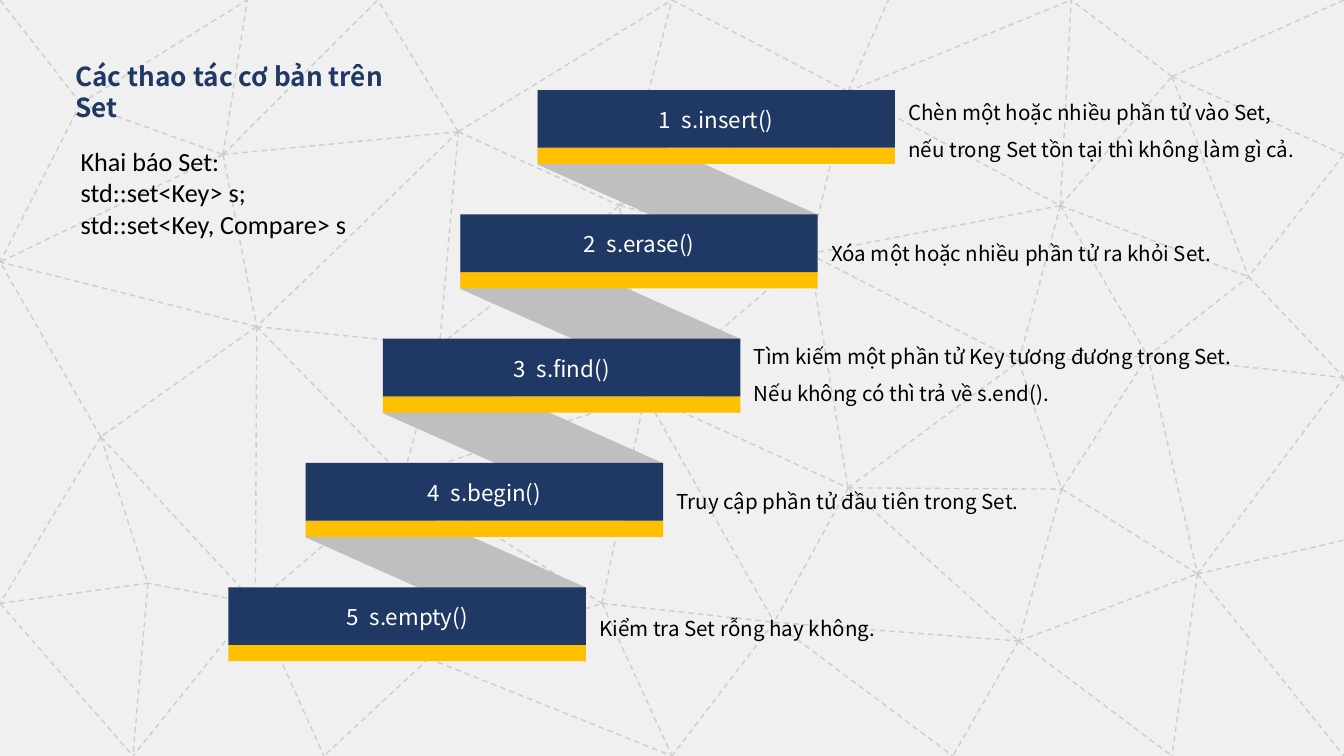
from dataclasses import dataclass

from lxml import etree
from pptx import Presentation
from pptx.dml.color import RGBColor
from pptx.enum.dml import MSO_LINE
from pptx.enum.shapes import MSO_CONNECTOR, MSO_SHAPE
from pptx.enum.text import MSO_ANCHOR, MSO_AUTO_SIZE, PP_ALIGN
from pptx.oxml.ns import qn
from pptx.util import Inches, Pt

RECTANGLE, PARALLELOGRAM = MSO_SHAPE.RECTANGLE, MSO_SHAPE.PARALLELOGRAM
STRAIGHT, DASH = MSO_CONNECTOR.STRAIGHT, MSO_LINE.DASH
TOP, FIXED = MSO_ANCHOR.TOP, MSO_AUTO_SIZE.NONE
LEFT, CENTER = PP_ALIGN.LEFT, PP_ALIGN.CENTER


@dataclass(frozen=True)
class Theme:
    paper: str = "F0F0F0"
    mesh: str = "CDCDCD"
    ribbon: str = "BFBFBF"
    navy: str = "203864"
    gold: str = "FFC000"
    white: str = "FFFFFF"
    black: str = "000000"
    sans: str = "Noto Sans CJK SC"
    code: str = "Calibri"
    heading_size: int = 14
    label_size: int = 12
    note_size: int = 11


THEME = Theme()
TITLE = dict(name=THEME.sans, size=THEME.heading_size, color=THEME.navy, bold=True)
DECLARATION = dict(name=THEME.code, size=THEME.heading_size, color=THEME.black)
LABEL = dict(name=THEME.sans, size=THEME.label_size, color=THEME.white)
NOTE = dict(name=THEME.sans, size=THEME.note_size, color=THEME.black)

PAGE_WIDTH = 10
PAGE_HEIGHT = PAGE_WIDTH * 9 / 16

MESH_NODES = {
    "A": (0.6, 0.77), "B": (1.66, 1.15), "C": (1.84, 0), "D": (0, 1.95),
    "E": (2.81, 0), "F": (3.41, 0.98), "G": (1.91, 2.43), "H": (3.27, 2.57),
    "I": (3, 3.55), "J": (1.9, 4.49), "K": (0.75, 3.25), "L": (0, 4.49),
    "M": (1.1, 4.34), "N": (0.99, PAGE_HEIGHT), "O": (3.19, 4.9), "P": (2.41, PAGE_HEIGHT),
    "Q": (4.48, 4.49), "R": (5, PAGE_HEIGHT), "S": (4.8, 2.94), "T": (4.61, 1.53),
    "U": (5, 0), "V": (6.31, 0.68), "W": (6.02, 1.89), "X": (6.31, 3.63),
    "Y": (5.76, 4.63), "Z": (6.61, 0), "a": (7.89, 1.53), "b": (7.58, 2.69),
    "c": (7.9, 3.64), "d": (7.58, 4.77), "e": (7.09, PAGE_HEIGHT), "f": (8.72, PAGE_HEIGHT),
    "g": (8.54, 2.65), "h": (8.72, 0.57), "i": (7.97, 0), "j": (10, 0),
    "k": (10, 1.15), "l": (9.29, 2.06), "m": (10, 2.81), "n": (8.91, 4.27),
    "o": (10, PAGE_HEIGHT), "p": (10, 4.02), "q": (0, 0),
}
# Each node with the neighbours it is joined to; every edge is listed once.
MESH_EDGES = {
    "A": "BCDq", "B": "CDEFG", "F": "EGHTU", "G": "DHIJK", "H": "IST",
    "I": "JOQS", "J": "KMNOP", "K": "DLM", "L": "MN", "M": "N", "O": "PQR",
    "Q": "RSY", "S": "TWXY", "T": "UVW", "U": "V", "V": "WZai", "W": "Xab",
    "X": "Ybcd", "Y": "Rde", "a": "bghil", "b": "cg", "c": "dgn", "d": "efn",
    "g": "lmn", "h": "ijkl", "k": "l", "l": "m", "n": "fmop",
}

# Operation, note, top, width and height of the note
OPERATIONS = [
    ("s.insert()", "Chèn một hoặc nhiều phần tử vào Set, nếu trong Set tồn tại thì không làm gì cả.", 0.6, 3.11, 0.66),
    ("s.erase()", "Xóa một hoặc nhiều phần tử ra khỏi Set.", 1.65, 3.67, 0.38),
    ("s.find()", "Tìm kiếm một phần tử Key tương đương trong Set. Nếu không có thì trả về s.end().", 2.42, 3.82, 0.66),
    ("s.begin()", "Truy cập phần tử đầu tiên trong Set.", 3.5, 3.96, 0.38),
    ("s.empty()", "Kiểm tra Set rỗng hay không.", 4.44, 3.85, 0.38),
]
FIRST_LEFT, FIRST_TOP = 4, 0.67
LAST_LEFT, LAST_TOP = 1.7, 4.37
STEP_WIDTH, STEP_HEIGHT, BASE_HEIGHT = 2.66, 0.43, 0.12


def step_corner(index):
    share = index / (len(OPERATIONS) - 1)
    return (FIRST_LEFT + share * (LAST_LEFT - FIRST_LEFT),
            FIRST_TOP + share * (LAST_TOP - FIRST_TOP))


class Painter:
    def __init__(self, page, theme):
        self.page = page
        self.theme = theme

    def background(self):
        fill = self.page.background.fill
        fill.solid()
        fill.fore_color.rgb = RGBColor.from_string(self.theme.paper)

    def group(self):
        return self.page.shapes.add_group_shape().shapes

    def mesh_line(self, shapes, start, end):
        line = shapes.add_connector(STRAIGHT, *map(Inches, start + end))
        line.line.color.rgb = RGBColor.from_string(self.theme.mesh)
        line.line.width = Pt(0.75)
        line.line.dash_style = DASH
        etree.SubElement(line._element.spPr, qn("a:effectLst"))

    def block(self, shapes, kind, place, color):
        shape = shapes.add_shape(kind, *map(Inches, place))
        shape.shadow.inherit = False
        shape.fill.solid()
        shape.fill.fore_color.rgb = RGBColor.from_string(color)
        shape.line.fill.background()
        return shape

    def ribbon(self, left, top):
        shape = self.block(self.page.shapes, PARALLELOGRAM, (left, top, 1.48, 2.08), self.theme.ribbon)
        shape.adjustments[0] = 0.625
        shape.rotation = 90

    def span(self, para, text, style):
        span = para.add_run()
        span.text = text
        for key, value in style.items():
            if key == "color":
                span.font.color.rgb = RGBColor.from_string(value)
            else:
                setattr(span.font, key, Pt(value) if key == "size" else value)
        return span

    def text(self, shapes, place, spans, style, **layout):
        """Add a one-paragraph box; layout holds paragraph attributes."""
        box = shapes.add_textbox(*map(Inches, place))
        box.text_frame.word_wrap = True
        para = box.text_frame.paragraphs[0]
        for key, value in layout.items():
            setattr(para, key, value)
        return [self.span(para, text, style) for text in spans]

    def placeholder(self, box, place, lines, style):
        """Place a template placeholder in front and fill it with plain lines."""
        for key, value in zip(("left", "top", "width", "height"), place):
            setattr(box, key, Inches(value))
        self.page.shapes._spTree.append(box._element)
        frame = box.text_frame
        for key, value in dict(word_wrap=True, auto_size=FIXED, vertical_anchor=TOP).items():
            setattr(frame, key, value)
        for index, line in enumerate(lines):
            para = frame.add_paragraph() if index else frame.paragraphs[0]
            properties = para._p.get_or_add_pPr()
            properties.set("marL", "0")
            properties.set("indent", "0")
            etree.SubElement(properties, qn("a:buNone"))
            para.alignment = LEFT
            para.space_before = Pt(0)
            self.span(para, line, style)

    def step(self, number, name, left, top):
        shapes = self.group()
        self.block(shapes, RECTANGLE, (left, top + STEP_HEIGHT, STEP_WIDTH, BASE_HEIGHT), self.theme.gold)
        self.block(shapes, RECTANGLE, (left, top, STEP_WIDTH, STEP_HEIGHT), self.theme.navy)
        place = (left + 0.16, top + 0.07, 2.34, 0.3)
        digit, _ = self.text(shapes, place, (str(number), f" {name}"), LABEL, alignment=CENTER)
        digit.font._element.set("spc", "300")  # widens the gap after the number


def main():
    deck = Presentation()
    deck.slide_width, deck.slide_height = Inches(PAGE_WIDTH), Inches(PAGE_HEIGHT)
    page = deck.slides.add_slide(deck.slide_layouts[1])
    painter = Painter(page, THEME)

    painter.background()
    mesh = painter.group()
    for node, neighbours in MESH_EDGES.items():
        for neighbour in neighbours:
            painter.mesh_line(mesh, MESH_NODES[node], MESH_NODES[neighbour])

    for index in range(len(OPERATIONS) - 1):
        left, top = step_corner(index)
        painter.ribbon(left + 0.3, top - 0.3)
    for index, (name, note, note_top, note_width, note_height) in enumerate(OPERATIONS):
        left, top = step_corner(index)
        painter.step(index + 1, name, left, top)
        place = (left + STEP_WIDTH, note_top, note_width, note_height)
        painter.text(page.shapes, place, (note,), NOTE, line_spacing=1.5)

    title, body = page.placeholders
    painter.placeholder(title, (0.46, 0.4, 2.63, 0.32), ["Các thao tác cơ bản trên Set"], TITLE)
    declaration = ["Khai báo Set:", "std::set<Key> s;", "std::set<Key, Compare> s"]
    painter.placeholder(body, (0.5, 1.03, 2.51, 0.77), declaration, DECLARATION)
    deck.save("out.pptx")


if __name__ == "__main__":
    main()
